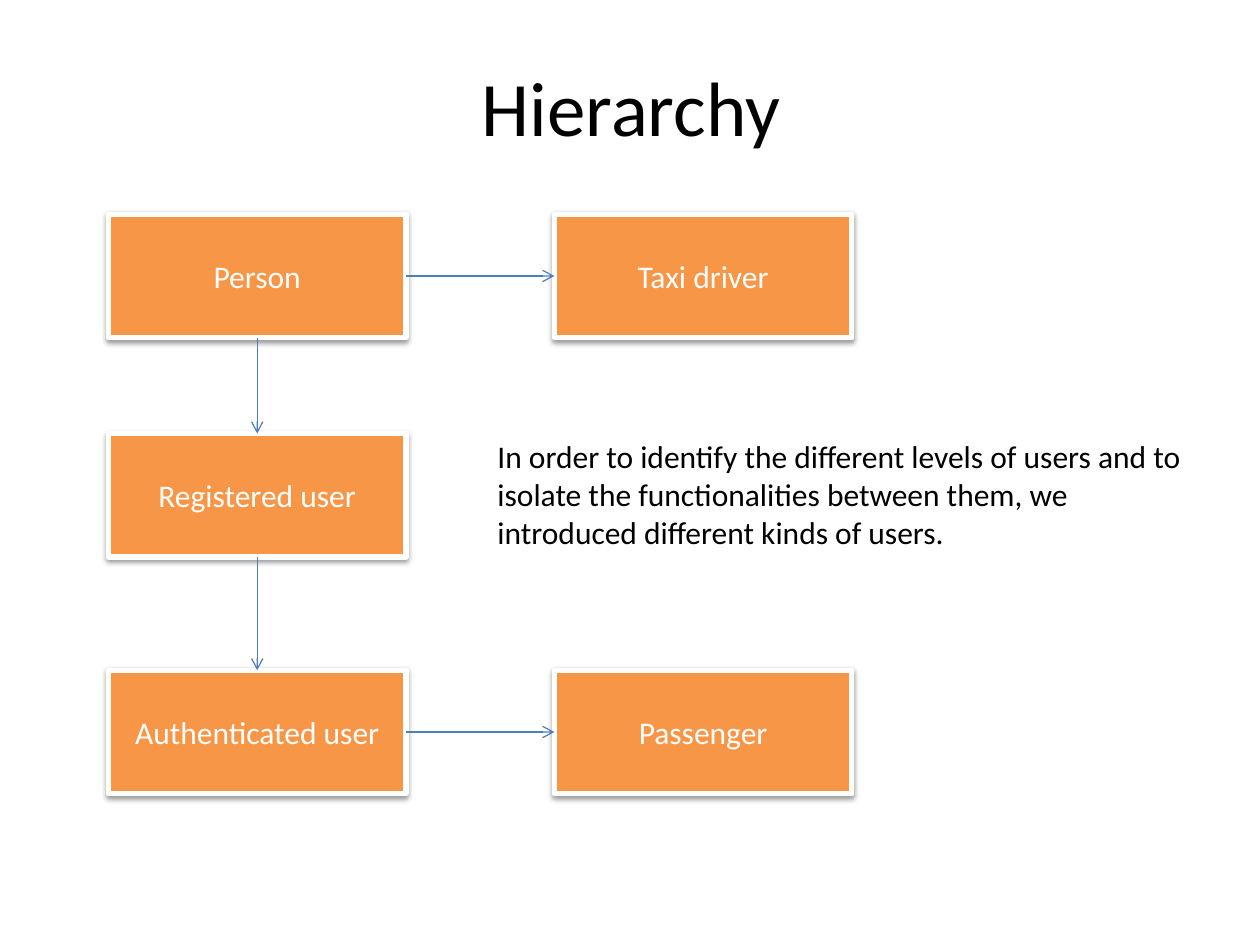
"""Build the user hierarchy slide."""
from lxml.etree import SubElement
from pptx import Presentation
from pptx.dml.color import RGBColor
from pptx.enum.shapes import MSO_CONNECTOR, MSO_SHAPE
from pptx.enum.text import MSO_ANCHOR, PP_ALIGN
from pptx.oxml.ns import qn
from pptx.util import Pt

COLORS = {"box": "F79646", "light": "FFFFFF", "dark": "000000", "arrow": "4B7EBC"}
TOP, LEFT, BOTTOM, RIGHT = range(4)
BOX_WIDTH, BOX_HEIGHT = 170, 70.6
COLUMNS = (62, 316.8)
ROWS = (122.4, 247.7, 383)
BOXES = {
    "Person": (0, 0),
    "Registered user": (0, 1),
    "Authenticated user": (0, 2),
    "Passenger": (1, 2),
    "Taxi driver": (1, 0),
}
ARROWS = (
    ("Person", BOTTOM, "Registered user", TOP),
    ("Registered user", BOTTOM, "Authenticated user", TOP),
    ("Authenticated user", RIGHT, "Passenger", LEFT),
    ("Person", RIGHT, "Taxi driver", LEFT),
)


def color(name):
    return RGBColor.from_string(COLORS[name])


def write_text(shape, text, size, color_name, alignment, anchor):
    frame = shape.text_frame
    frame.word_wrap = True
    frame.vertical_anchor = anchor
    paragraph = frame.paragraphs[0]
    paragraph.text = text
    paragraph.alignment = alignment
    paragraph.font.name = "Calibri"
    paragraph.font.size = Pt(size)
    paragraph.font.color.rgb = color(color_name)


def add_text(slide, text, bounds, size, alignment, anchor):
    shape = slide.shapes.add_textbox(*map(Pt, bounds))
    write_text(shape, text, size, "dark", alignment, anchor)


def add_shadow(shape):
    effects = SubElement(shape.element.spPr, qn("a:effectLst"))
    shadow = SubElement(
        effects, qn("a:outerShdw"), blurRad=str(Pt(3.1)), dist=str(Pt(1.6)),
        dir="5400000", rotWithShape="0",
    )
    shade = SubElement(shadow, qn("a:srgbClr"), val=COLORS["dark"])
    SubElement(shade, qn("a:alpha"), val="38000")


def add_box(slide, text, column, row):
    bounds = COLUMNS[column], ROWS[row], BOX_WIDTH, BOX_HEIGHT
    shape = slide.shapes.add_shape(MSO_SHAPE.RECTANGLE, *map(Pt, bounds))
    shape.fill.solid()
    shape.fill.fore_color.rgb = color("box")
    shape.line.color.rgb = color("light")
    shape.line.width = Pt(3)
    add_shadow(shape)
    write_text(shape, text, 18, "light", PP_ALIGN.CENTER, MSO_ANCHOR.MIDDLE)
    return shape


def add_arrow(slide, start, start_side, end, end_side):
    connector = slide.shapes.add_connector(MSO_CONNECTOR.STRAIGHT, 0, 0, 0, 0)
    connector.begin_connect(start, start_side)
    connector.end_connect(end, end_side)
    connector.line.color.rgb = color("arrow")
    connector.line.width = Pt(0.75)
    properties = connector.element.spPr
    SubElement(properties.find(qn("a:ln")), qn("a:tailEnd"), type="arrow")
    SubElement(properties, qn("a:effectLst"))


def main():
    presentation = Presentation()
    presentation.slide_width, presentation.slide_height = Pt(720), Pt(540)
    slide = presentation.slides.add_slide(presentation.slide_layouts[6])
    add_text(slide, "Hierarchy", (36.7, 15.1, 648, 90), 44,
             PP_ALIGN.CENTER, MSO_ANCHOR.MIDDLE)
    add_text(slide, "In order to identify the different levels of users and to "
             "isolate the functionalities between them, we introduced different "
             "kinds of users.", (277.2, 246.2, 419.8, 72.7), 18,
             PP_ALIGN.LEFT, MSO_ANCHOR.TOP)
    boxes = {text: add_box(slide, text, *cell) for text, cell in BOXES.items()}
    for start, start_side, end, end_side in ARROWS:
        add_arrow(slide, boxes[start], start_side, boxes[end], end_side)
    presentation.save("out.pptx")


if __name__ == "__main__":
    main()
